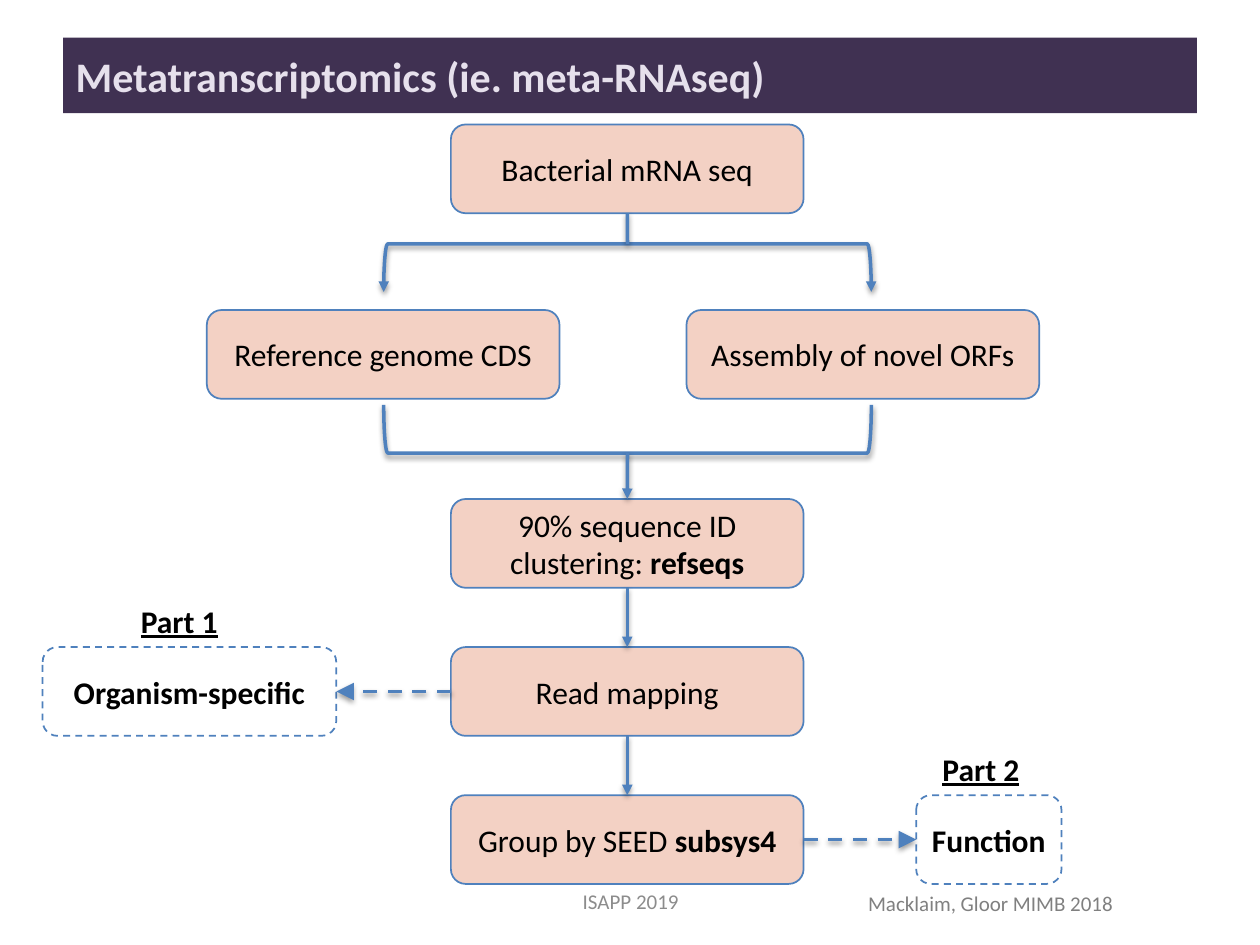
from dataclasses import dataclass
from typing import Optional

from lxml.etree import SubElement
from pptx import Presentation
from pptx.dml.color import RGBColor
from pptx.enum.dml import MSO_LINE
from pptx.enum.shapes import MSO_CONNECTOR, MSO_SHAPE
from pptx.enum.text import MSO_ANCHOR, MSO_AUTO_SIZE, PP_ALIGN
from pptx.oxml.ns import qn
from pptx.util import Cm, Pt


@dataclass(frozen=True)
class Theme:
    font: str = "Calibri"
    banner: str = "403152"
    banner_text: str = "E6E0EC"
    step_fill: str = "D34817"
    step_opacity: int = 25
    line: str = "4F81BD"
    ink: str = "000000"
    footer: str = "8C8C8C"
    citation: str = "808080"
    title_size: int = 24
    body_size: int = 18
    small_size: int = 12


@dataclass(frozen=True)
class Step:
    """A rounded box of the flow chart; lengths in centimetres."""
    left: float
    top: float
    text: str
    bold_text: str = ""
    width: float = 7.11
    outcome: bool = False


@dataclass(frozen=True)
class Label:
    left: float
    top: float
    width: float
    height: float
    text: str
    color: str
    size: int
    heading: bool = False
    centered: bool = False


THEME = Theme()
TOP, LEFT, BOTTOM, RIGHT = range(4)
BOX_HEIGHT = 1.79
CENTER = 12.65
MAIN_LEFT = 9.09
CLUSTER_TOP = 10.06
ROW_STEP = 2.985
MAPPING_TOP = CLUSTER_TOP + ROW_STEP
GROUP_TOP = MAPPING_TOP + ROW_STEP

STEPS = {
    "sequencing": Step(MAIN_LEFT, 2.51, "Bacterial mRNA seq"),
    "reference": Step(4.17, 6.25, "Reference genome CDS"),
    "assembly": Step(13.84, 6.25, "Assembly of novel ORFs"),
    "clustering": Step(MAIN_LEFT, CLUSTER_TOP, "90% sequence ID clustering: ", "refseqs"),
    "mapping": Step(MAIN_LEFT, MAPPING_TOP, "Read mapping"),
    "grouping": Step(MAIN_LEFT, GROUP_TOP, "Group by SEED ", "subsys4"),
    "organism": Step(0.86, MAPPING_TOP, "", "Organism-specific", 5.92, True),
    "function": Step(18.47, GROUP_TOP, "", "Function", 2.93, True),
}
LABELS = (
    Label(8.69, 17.65, 8.05, 1.02, "ISAPP 2019", THEME.footer, THEME.small_size, centered=True),
    Label(17.25, 17.83, 5.51, 0.76, "Macklaim, Gloor MIMB 2018", THEME.citation, THEME.small_size),
    Label(2.59, 12.01, 2.08, 1.02, "Part 1", THEME.ink, THEME.body_size, heading=True),
    Label(18.75, 14.99, 2.08, 1.02, "Part 2", THEME.ink, THEME.body_size, heading=True),
)


def set_all(target, **values) -> None:
    for name, value in values.items():
        setattr(target, name, value)


def add_span(para, text: str, color: str, size: int, **formats) -> None:
    span = para.add_run()
    span.text = text
    set_all(span.font, name=THEME.font, size=Pt(size), **formats)
    span.font.color.rgb = RGBColor.from_string(color)


def set_line(shape, width: float, dashed: bool = False) -> None:
    shape.line.color.rgb = RGBColor.from_string(THEME.line)
    shape.line.width = Pt(width)
    if dashed:
        shape.line.dash_style = MSO_LINE.DASH


def add_arrowheads(shape, ends: tuple[str, ...], size: str = "med") -> None:
    """Put a triangle on each named end, headEnd before tailEnd."""
    outline = shape.line._get_or_add_ln()
    for end in ends:
        SubElement(outline, qn(f"a:{end}"), type="triangle", w=size, len=size)


def add_soft_shadow(shape) -> None:
    properties = shape._element.spPr
    for old in properties.findall(qn("a:effectLst")):
        properties.remove(old)
    effects = SubElement(properties, qn("a:effectLst"))
    shadow = SubElement(effects, qn("a:outerShdw"), blurRad=str(Pt(3.1)), dist=str(Pt(1.6)),
                        dir="5400000", rotWithShape="0")
    color = SubElement(shadow, qn("a:srgbClr"), val=THEME.ink)
    SubElement(color, qn("a:alpha"), val="38000")


def add_title(page, text: str) -> None:
    title = page.shapes.title
    set_all(title, left=Cm(1.27), top=Cm(0.76), width=Cm(22.86), height=Cm(1.52))
    title.fill.solid()
    title.fill.fore_color.rgb = RGBColor.from_string(THEME.banner)
    title.text_frame.vertical_anchor = MSO_ANCHOR.MIDDLE
    para = title.text_frame.paragraphs[0]
    para.alignment = PP_ALIGN.LEFT
    add_span(para, text, THEME.banner_text, THEME.title_size, bold=True)


def add_step(page, step: Step):
    box = page.shapes.add_shape(MSO_SHAPE.ROUNDED_RECTANGLE, Cm(step.left), Cm(step.top),
                                Cm(step.width), Cm(BOX_HEIGHT))
    box.shadow.inherit = False
    if step.outcome:
        box.fill.background()
    else:
        box.fill.solid()
        box.fill.fore_color.rgb = RGBColor.from_string(THEME.step_fill)
        color = box._element.spPr.find(qn("a:solidFill"))[0]
        SubElement(color, qn("a:alpha"), val=str(THEME.step_opacity * 1000))
    set_line(box, 1, step.outcome)
    frame = box.text_frame
    inset = Cm(0.2)
    set_all(frame, word_wrap=True, vertical_anchor=MSO_ANCHOR.MIDDLE, margin_left=inset,
            margin_right=inset, margin_top=inset, margin_bottom=inset)
    para = frame.paragraphs[0]
    para.alignment = PP_ALIGN.CENTER
    for text, bold in ((step.text, False), (step.bold_text, True)):
        if text:
            add_span(para, text, THEME.ink, THEME.body_size, bold=bold)
    return box


def add_link(page, start: tuple[float, float], end: tuple[float, float],
             begin: Optional[tuple] = None, finish: Optional[tuple] = None,
             dashed: bool = False) -> None:
    """Draw a line, joined to the (box, side) pairs given; a finish gets an arrowhead."""
    link = page.shapes.add_connector(MSO_CONNECTOR.STRAIGHT, *map(Cm, start + end))
    if begin:
        link.begin_connect(*begin)
    if finish:
        link.end_connect(*finish)
    set_line(link, 2, dashed)
    if finish:
        add_arrowheads(link, ("tailEnd",), "lg" if dashed else "med")
    add_soft_shadow(link)


def add_bracket(page, middle: float, rotation: int, arrows: bool = False) -> None:
    depth, span = 0.97, 9.83
    bracket = page.shapes.add_shape(MSO_SHAPE.RIGHT_BRACKET, Cm(CENTER - depth / 2),
                                    Cm(middle - span / 2), Cm(depth), Cm(span))
    bracket.rotation = rotation
    bracket.fill.background()
    set_line(bracket, 2)
    if arrows:
        add_arrowheads(bracket, ("headEnd", "tailEnd"))
    add_soft_shadow(bracket)


def add_label(page, label: Label) -> None:
    box = page.shapes.add_textbox(Cm(label.left), Cm(label.top), Cm(label.width), Cm(label.height))
    frame = box.text_frame
    if label.centered:
        set_all(frame, word_wrap=True, vertical_anchor=MSO_ANCHOR.MIDDLE)
    else:
        set_all(frame, word_wrap=False, auto_size=MSO_AUTO_SIZE.SHAPE_TO_FIT_TEXT)
    para = frame.paragraphs[0]
    para.alignment = PP_ALIGN.CENTER if label.centered else PP_ALIGN.LEFT
    add_span(para, label.text, label.color, label.size, bold=label.heading, underline=label.heading)


def main() -> None:
    deck = Presentation()
    set_all(deck, slide_width=Cm(25.4), slide_height=Cm(19.05))
    page = deck.slides.add_slide(deck.slide_layouts[5])
    add_title(page, "Metatranscriptomics (ie. meta-RNAseq)")
    boxes = {name: add_step(page, step) for name, step in STEPS.items()}
    add_bracket(page, 8.65, 90)
    add_bracket(page, 5.4, 270, arrows=True)
    add_link(page, (CENTER, 4.3), (CENTER, 4.92), begin=(boxes["sequencing"], BOTTOM))
    add_link(page, (CENTER, 9.13), (CENTER, CLUSTER_TOP), finish=(boxes["clustering"], TOP))
    for source, side, target, target_side, dashed in (
        ("clustering", BOTTOM, "mapping", TOP, False),
        ("mapping", BOTTOM, "grouping", TOP, False),
        ("mapping", LEFT, "organism", RIGHT, True),
        ("grouping", RIGHT, "function", LEFT, True),
    ):
        add_link(page, (0, 0), (0, 0), (boxes[source], side), (boxes[target], target_side), dashed)
    for label in LABELS:
        add_label(page, label)
    deck.save("out.pptx")


if __name__ == "__main__":
    main()
